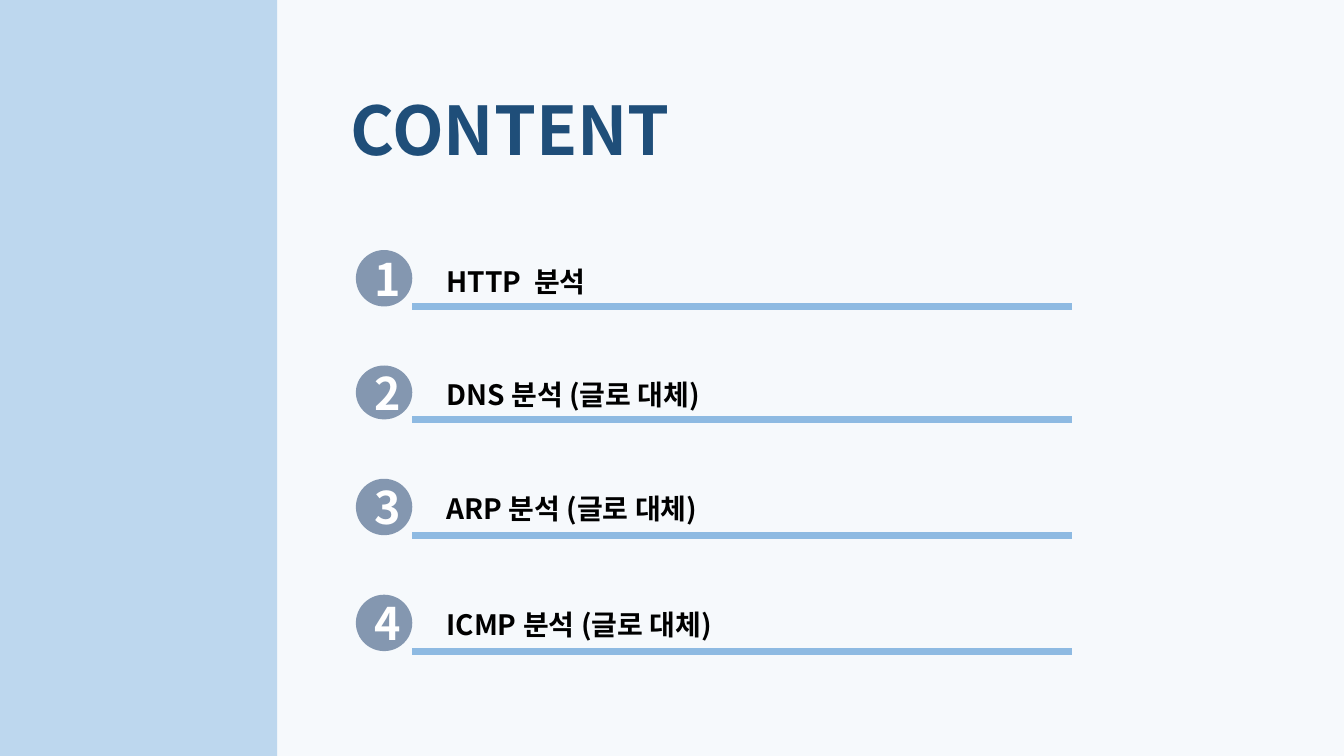
from dataclasses import dataclass

from lxml.etree import SubElement
from pptx import Presentation
from pptx.dml.color import RGBColor as RGB
from pptx.enum.shapes import MSO_CONNECTOR as CONN, MSO_SHAPE as SHAPE
from pptx.enum.text import MSO_ANCHOR as ANCHOR, MSO_AUTO_SIZE as AUTO, PP_ALIGN as ALIGN
from pptx.oxml.ns import qn
from pptx.shapes.autoshape import Shape
from pptx.slide import Slide
from pptx.util import Pt


@dataclass(frozen=True)
class Theme:
    font: str = "Noto Sans CJK KR"
    background: str = "F6F9FC"
    band: str = "BDD7EE"
    title: str = "1F4E79"
    badge: str = "8497B0"
    number: str = "FFFFFF"
    rule: str = "8EBAE2"
    entry: str = "000000"
    title_size: float = 48
    number_size: float = 32
    entry_size: float = 20
    rule_width: float = 5


@dataclass(frozen=True)
class Entry:
    text: str
    rule_y: float
    badge_height: float = 40.3
    text_rise: float = 33.8


THEME = Theme()
SLIDE_W, SLIDE_H = 960, 540
BAND_W = 198
BADGE_X, BADGE_W = 254.2, 40.3
RULE_X1, RULE_X2 = BADGE_X + BADGE_W, 765.4
TEXT_X, TEXT_W, TEXT_H = 311.8, 436.3, 31.5

ENTRIES = [
    Entry("HTTP  분석", 218.9),
    Entry("DNS 분석 (글로 대체)", 299.6, badge_height=38.5),
    Entry("ARP 분석 (글로 대체)", 382.3, text_rise=34.5),
    Entry("ICMP 분석 (글로 대체)", 465.1, text_rise=34.5),
]


def write(sp: Shape, text: str, size: float, color: str) -> None:
    """Put one bold run into a shape."""
    p = sp.text_frame.paragraphs[0]
    r = p.add_run()
    r.text = text
    formats = {"name": THEME.font, "size": Pt(size), "bold": True}
    for key, value in formats.items():
        setattr(r.font, key, value)
    r.font.color.rgb = RGB.from_string(color)
    # Korean glyphs take the East Asian typeface
    SubElement(r.font._element, qn("a:ea"), typeface=THEME.font)


def add_filled(s: Slide, kind: SHAPE, x: float, y: float, w: float, h: float,
               color: str) -> Shape:
    sp = s.shapes.add_shape(kind, Pt(x), Pt(y), Pt(w), Pt(h))
    sp.shadow.inherit = False
    sp.fill.solid()
    sp.fill.fore_color.rgb = RGB.from_string(color)
    sp.line.fill.background()
    return sp


def add_label(s: Slide, x: float, y: float, w: float, h: float,
              text: str, size: float, color: str) -> None:
    sp = s.shapes.add_textbox(Pt(x), Pt(y), Pt(w), Pt(h))
    for key, value in {"word_wrap": True, "auto_size": AUTO.SHAPE_TO_FIT_TEXT}.items():
        setattr(sp.text_frame, key, value)
    write(sp, text, size, color)


def add_rule(s: Slide, y: float) -> None:
    line = s.shapes.add_connector(CONN.STRAIGHT, Pt(RULE_X1), Pt(y), Pt(RULE_X2), Pt(y))
    line.line.color.rgb = RGB.from_string(THEME.rule)
    line.line.width = Pt(THEME.rule_width)
    SubElement(line._element.spPr, qn("a:effectLst"))


def add_entry(s: Slide, number: int, entry: Entry) -> None:
    # Numbered badge standing on the rule
    badge = add_filled(s, SHAPE.OVAL, BADGE_X, entry.rule_y - entry.badge_height,
                       BADGE_W, entry.badge_height, THEME.badge)
    badge.text_frame.vertical_anchor = ANCHOR.MIDDLE
    badge.text_frame.paragraphs[0].alignment = ALIGN.CENTER
    write(badge, str(number), THEME.number_size, THEME.number)
    # Rule and its text
    add_rule(s, entry.rule_y)
    add_label(s, TEXT_X, entry.rule_y - entry.text_rise, TEXT_W, TEXT_H,
              entry.text, THEME.entry_size, THEME.entry)


def main() -> None:
    prs = Presentation()
    prs.slide_width, prs.slide_height = Pt(SLIDE_W), Pt(SLIDE_H)
    s = prs.slides.add_slide(prs.slide_layouts[6])
    s.background.fill.solid()
    s.background.fill.fore_color.rgb = RGB.from_string(THEME.background)

    # Side band and title
    add_filled(s, SHAPE.RECTANGLE, 0, 0, BAND_W, SLIDE_H, THEME.band)
    add_label(s, 243.4, 59.8, 333.4, 65.5, "CONTENT", THEME.title_size, THEME.title)

    # Contents list
    for number, entry in enumerate(ENTRIES, start=1):
        add_entry(s, number, entry)

    prs.save("out.pptx")


if __name__ == "__main__":
    main()
